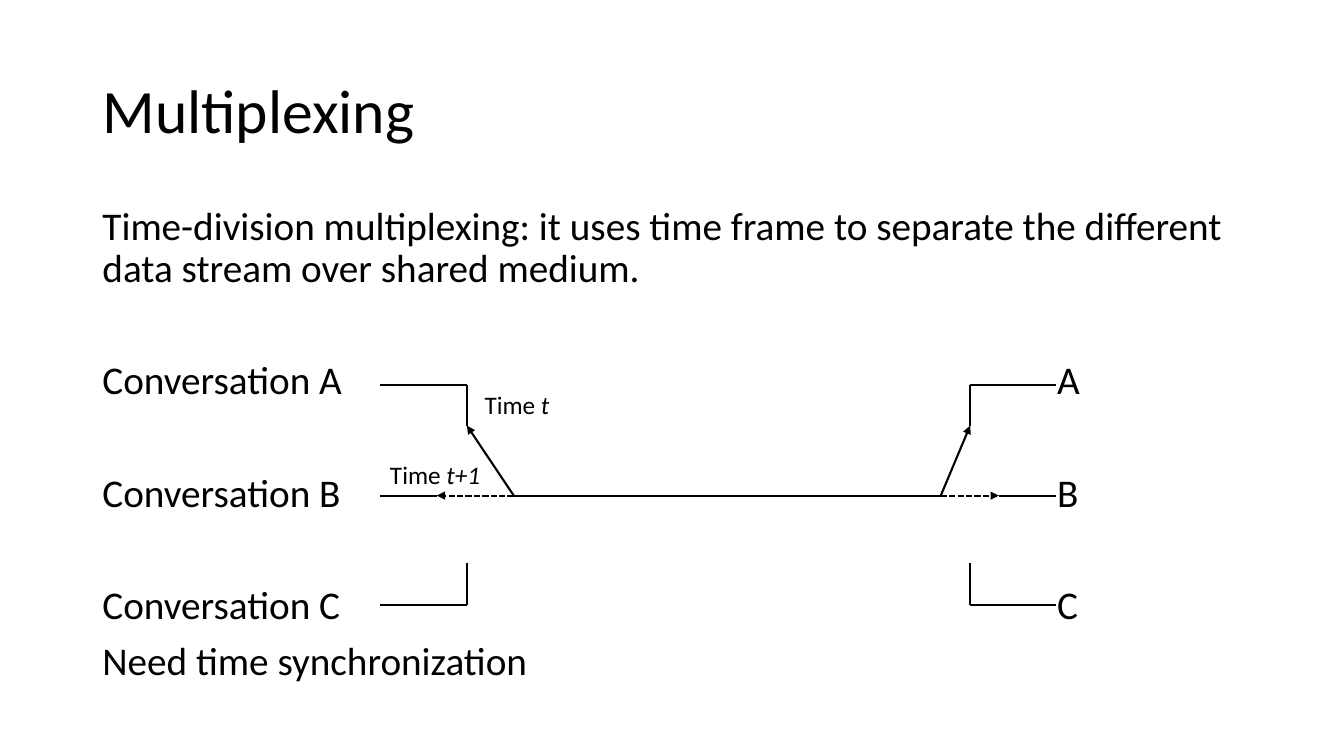
from pptx import Presentation
from pptx.dml.color import RGBColor
from pptx.enum.dml import MSO_LINE
from pptx.enum.shapes import MSO_CONNECTOR
from pptx.enum.text import MSO_ANCHOR, MSO_AUTO_SIZE, PP_ALIGN
from pptx.oxml.ns import qn
from pptx.util import Pt
from lxml.etree import SubElement


def color(value):
    return RGBColor.from_string(value)


class SlideBuilder:
    font = "Calibri"
    ink = "000000"
    line_width = 1.5

    def __init__(self, slide):
        self.slide = slide

    def add_run(self, paragraph, text, size, italic=None):
        run = paragraph.add_run()
        run.text = text
        run.font.name = self.font
        run.font.size = Pt(size)
        run.font.italic = italic
        run.font.color.rgb = color(self.ink)

    def placeholder(self, index, left, top, width, height, anchor):
        shape = self.slide.placeholders[index]
        shape.left, shape.top = Pt(left), Pt(top)
        shape.width, shape.height = Pt(width), Pt(height)
        frame = shape.text_frame
        frame.auto_size = MSO_AUTO_SIZE.NONE
        frame.vertical_anchor = anchor
        return frame

    def format_paragraph(self, paragraph, space_before):
        paragraph.alignment = PP_ALIGN.LEFT
        paragraph.line_spacing = 0.9
        paragraph.space_before = Pt(space_before)

    def title(self, text, *box):
        paragraph = self.placeholder(0, *box, MSO_ANCHOR.MIDDLE).paragraphs[0]
        self.format_paragraph(paragraph, 0)
        self.add_run(paragraph, text, 44)

    def body(self, items, *box):
        frame = self.placeholder(1, *box, MSO_ANCHOR.TOP)
        for number, (text, space_before) in enumerate(items):
            paragraph = frame.add_paragraph() if number else frame.paragraphs[0]
            self.format_paragraph(paragraph, space_before)
            properties = paragraph._p.get_or_add_pPr()
            properties.set("marL", "0")
            properties.set("indent", "0")
            SubElement(properties, qn("a:buNone"))
            self.add_run(paragraph, text, 28)

    def line(self, start, end, arrow=False, dashed=False):
        connector = self.slide.shapes.add_connector(
            MSO_CONNECTOR.STRAIGHT, *map(Pt, start + end))
        connector.line.width = Pt(self.line_width)
        connector.line.color.rgb = color(self.ink)
        if dashed:
            connector.line.dash_style = MSO_LINE.SQUARE_DOT
        if arrow:
            SubElement(connector.line._get_or_add_ln(), qn("a:tailEnd"), type="triangle")
        SubElement(connector._element.spPr, qn("a:effectLst"))

    def text_box(self, left, top, width, height):
        box = self.slide.shapes.add_textbox(Pt(left), Pt(top), Pt(width), Pt(height))
        frame = box.text_frame
        frame.word_wrap = True
        return frame

    def time_label(self, moment, left, top, width):
        frame = self.text_box(left, top, width, 29)
        frame.auto_size = MSO_AUTO_SIZE.SHAPE_TO_FIT_TEXT
        paragraph = frame.paragraphs[0]
        self.add_run(paragraph, "Time ", 18)
        self.add_run(paragraph, moment, 18, italic=True)

    def receiver(self, name, left, middle):
        height = 40
        frame = self.text_box(left, middle - height / 2, 40, height)
        frame.margin_left = 0
        frame.vertical_anchor = MSO_ANCHOR.MIDDLE
        self.format_paragraph(frame.paragraphs[0], 0)
        self.add_run(frame.paragraphs[0], name, 28)


presentation = Presentation()
presentation.slide_width, presentation.slide_height = Pt(960), Pt(540)
builder = SlideBuilder(presentation.slides.add_slide(presentation.slide_layouts[1]))

# Title and text
builder.title("Multiplexing", 66, 28.75, 828, 104.4)
row_gap = 50
items = [("Time-division multiplexing: it uses time frame to separate "
          "the different data stream over shared medium.", 10)]
items += [(f"Conversation {name}", row_gap) for name in "ABC"]
items.append(("Need time synchronization", 10))
builder.body(items, 66, 143.75, 828, 368)

# Switch on each side: outer end, corner, end of middle contact, pivot
row_a, row_b, row_c = 275, 354, 432
contact_a, contact_c = 304, 402
sides = [(271.5, 333.5, 312, 367), (754, 693, 713.5, 672)]
for outer, corner, contact_b, pivot in sides:
    for row, contact in ((row_a, contact_a), (row_c, contact_c)):
        builder.line((outer, row), (corner, row))
        builder.line((corner, row), (corner, contact))
    builder.line((outer, row_b), (contact_b, row_b))
    builder.line((pivot, row_b), (corner, contact_a), arrow=True)
    builder.line((pivot, row_b), (contact_b, row_b), arrow=True, dashed=True)

# Shared medium between the pivots
builder.line((sides[0][-1], row_b), (sides[1][-1], row_b))

# Receivers at the right outputs, level with the conversations
for number, name in enumerate("ABC"):
    builder.receiver(name, 755, 273 + 80.25 * number)

# Time labels
builder.time_label("t", 339, 274.5, 68)
builder.time_label("t+1", 271.5, 324.5, 88)

presentation.save("out.pptx")
